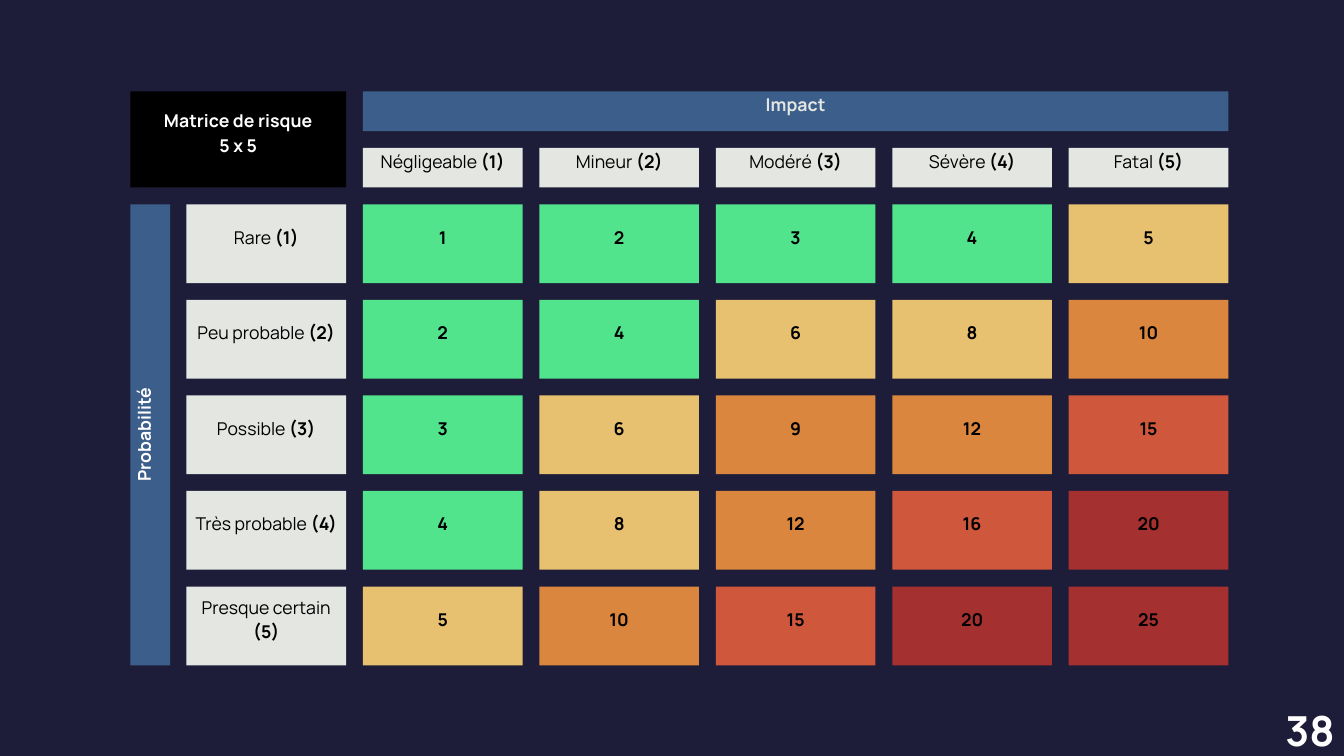
"""Build a slide with a 5 x 5 risk matrix of probability against impact."""
from dataclasses import dataclass

from pptx import Presentation
from pptx.dml.color import RGBColor
from pptx.enum.shapes import MSO_SHAPE
from pptx.enum.text import MSO_ANCHOR as Anchor, MSO_AUTO_SIZE as AutoSize, PP_ALIGN as Align
from pptx.util import Inches, Pt

TITLE = ["Matrice de risque", "5 x 5"]
IMPACT_AXIS = "Impact"
PROBABILITY_AXIS = "Probabilité"
IMPACTS = ["Négligeable", "Mineur", "Modéré", "Sévère", "Fatal"]
PROBABILITIES = ["Rare", "Peu probable", "Possible", "Très probable", "Presque certain"]
RISK_LEVELS = [(4, "52E48C"), (8, "E8C170"), (12, "DA863E"), (16, "CF573C"), (25, "A53030")]
PAGE_NUMBER = "38"


@dataclass(frozen=True)
class Theme:
    font: str = "Manrope"
    background: str = "1E1D39"
    axis: str = "3C5E8B"
    label: str = "E4E6E2"
    black: str = "000000"
    white: str = "FFFFFF"
    size: float = 18.9
    leading: float = 26.1
    number_size: float = 44.3
    number_leading: float = 61.2


THEME = Theme()
LEFT, TOP = 1.94, 1.36
GAP, BAR = 0.25, 0.59
GRID_LEFT, GRID_TOP = 5.4, 3.04
GRID_WIDTH, GRID_HEIGHT = 12.88, 6.86
CELL_WIDTH = (GRID_WIDTH - 4 * GAP) / 5
CELL_HEIGHT = (GRID_HEIGHT - 4 * GAP) / 5
LABEL_LEFT = GRID_LEFT - GAP - CELL_WIDTH
TEXT_LIFT = 0.24


def write(shape, paragraphs, color=THEME.black, size=THEME.size, leading=THEME.leading,
          anchor=Anchor.MIDDLE, side=0.06, lift=TEXT_LIFT, auto_size=AutoSize.NONE):
    """Fill a shape with paragraphs, each a list of (text, bold) runs."""
    frame = shape.text_frame
    frame.word_wrap = True
    frame.auto_size = auto_size
    frame.vertical_anchor = anchor
    frame.margin_left = frame.margin_right = Inches(side)
    frame.margin_top, frame.margin_bottom = 0, Inches(lift)
    for index, runs in enumerate(paragraphs):
        paragraph = frame.add_paragraph() if index else frame.paragraphs[0]
        paragraph.alignment = Align.CENTER
        paragraph.line_spacing = Pt(leading)
        paragraph.space_before = paragraph.space_after = Pt(0)
        for text, bold in runs:
            run = paragraph.add_run()
            run.text = text
            run.font.name, run.font.size, run.font.bold = THEME.font, Pt(size), bold
            run.font.color.rgb = RGBColor.from_string(color)


def paint(target, color):
    """Give a shape or background a solid fill."""
    target.fill.solid()
    target.fill.fore_color.rgb = RGBColor.from_string(color)


def add_tile(slide, left, top, width, height, fill, runs, rotation=0, **text_format):
    """Add a filled rectangle with one paragraph."""
    tile = slide.shapes.add_shape(
        MSO_SHAPE.RECTANGLE, Inches(left), Inches(top), Inches(width), Inches(height))
    tile.shadow.inherit = False
    tile.line.fill.background()
    tile.rotation = rotation
    paint(tile, fill)
    write(tile, [runs], **text_format)


def risk_color(score):
    """Return the colour of the lowest risk level that covers the score."""
    return next(color for limit, color in RISK_LEVELS if score <= limit)


def add_title(slide):
    """Place the title in the corner of the matrix."""
    title = slide.shapes.title
    title.left, title.top = Inches(LEFT), Inches(TOP)
    title.width = Inches(GRID_LEFT - GAP - LEFT)
    title.height = Inches(GRID_TOP - GAP - TOP)
    paint(title, THEME.black)
    write(title, [[(line, True)] for line in TITLE], color=THEME.white)


def add_axes(slide):
    """Add the two axis bars."""
    add_tile(slide, GRID_LEFT, TOP, GRID_WIDTH, BAR, THEME.axis,
             [(IMPACT_AXIS, True)], color=THEME.label)
    shift = (GRID_HEIGHT - BAR) / 2
    add_tile(slide, LEFT - shift, GRID_TOP + shift, GRID_HEIGHT, BAR, THEME.axis,
             [(PROBABILITY_AXIS, True)], rotation=270, color=THEME.white)


def add_matrix(slide):
    """Add the row and column labels and the scored cells."""
    lefts = [GRID_LEFT + index * (CELL_WIDTH + GAP) for index in range(5)]
    tops = [GRID_TOP + index * (CELL_HEIGHT + GAP) for index in range(5)]
    for impact, (name, left) in enumerate(zip(IMPACTS, lefts), 1):
        add_tile(slide, left, GRID_TOP - GAP - BAR, CELL_WIDTH, BAR, THEME.label,
                 [(f"{name} ", False), (f"({impact})", True)])
    for probability, (name, top) in enumerate(zip(PROBABILITIES, tops), 1):
        add_tile(slide, LABEL_LEFT, top, CELL_WIDTH, CELL_HEIGHT, THEME.label,
                 [(f"{name} ", False), (f"({probability})", True)])
        for impact, left in enumerate(lefts, 1):
            score = probability * impact
            add_tile(slide, left, top, CELL_WIDTH, CELL_HEIGHT, risk_color(score),
                     [(str(score), True)])


def add_page_number(slide):
    """Add the page number in the bottom right corner."""
    box = slide.shapes.add_textbox(Inches(18.99), Inches(10.38), Inches(1.01), Inches(0.87))
    write(box, [[(PAGE_NUMBER, True)]], color=THEME.white, size=THEME.number_size,
          leading=THEME.number_leading, anchor=Anchor.TOP, side=0, lift=0,
          auto_size=AutoSize.SHAPE_TO_FIT_TEXT)


def main():
    """Build and save the presentation."""
    presentation = Presentation()
    presentation.slide_width, presentation.slide_height = Inches(20), Inches(11.25)
    slide = presentation.slides.add_slide(presentation.slide_layouts[5])
    paint(slide.background, THEME.background)
    add_title(slide)
    add_axes(slide)
    add_matrix(slide)
    add_page_number(slide)
    presentation.save("out.pptx")


if __name__ == "__main__":
    main()
